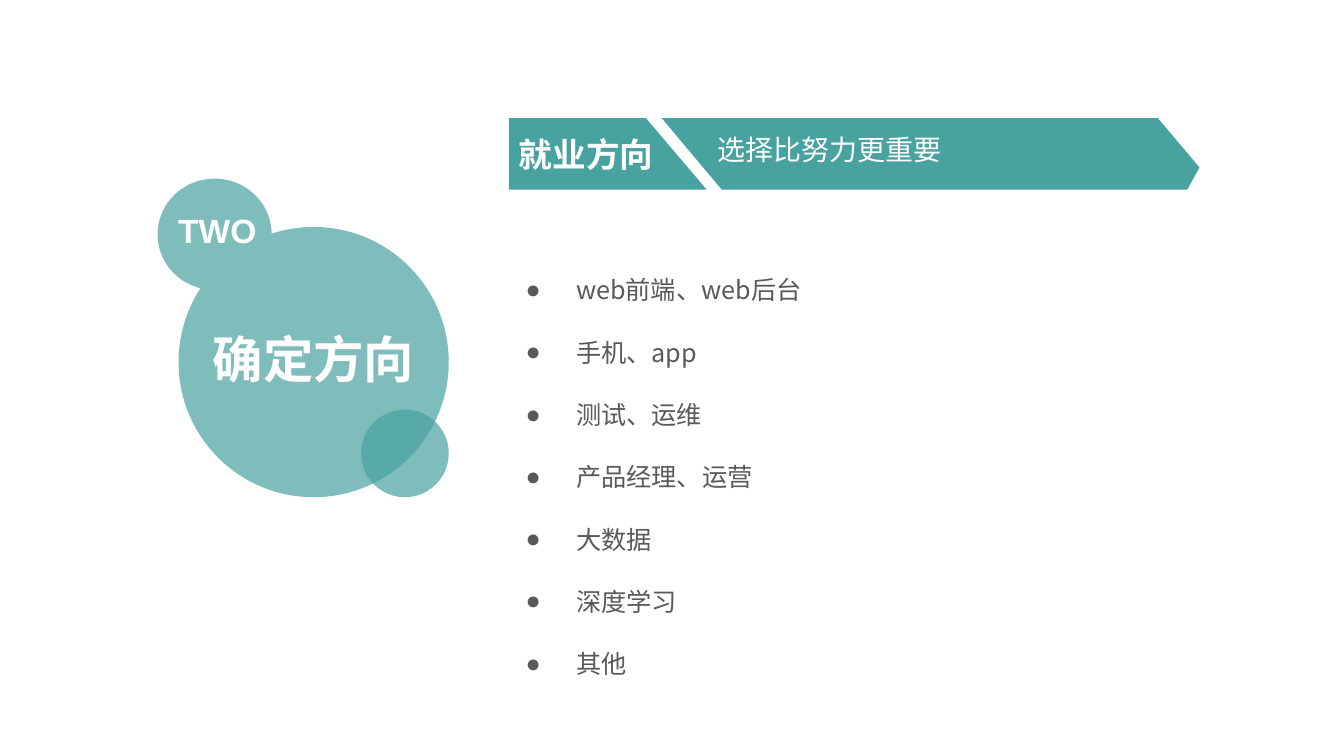
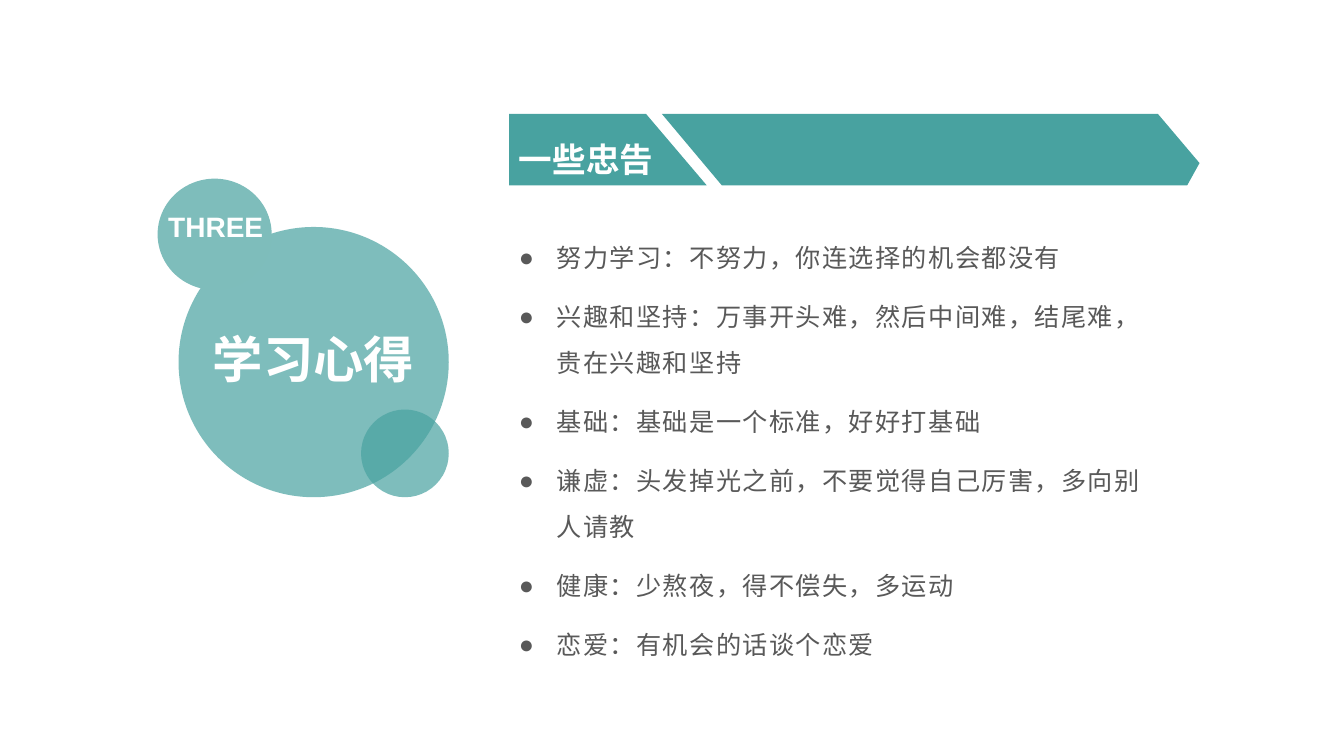
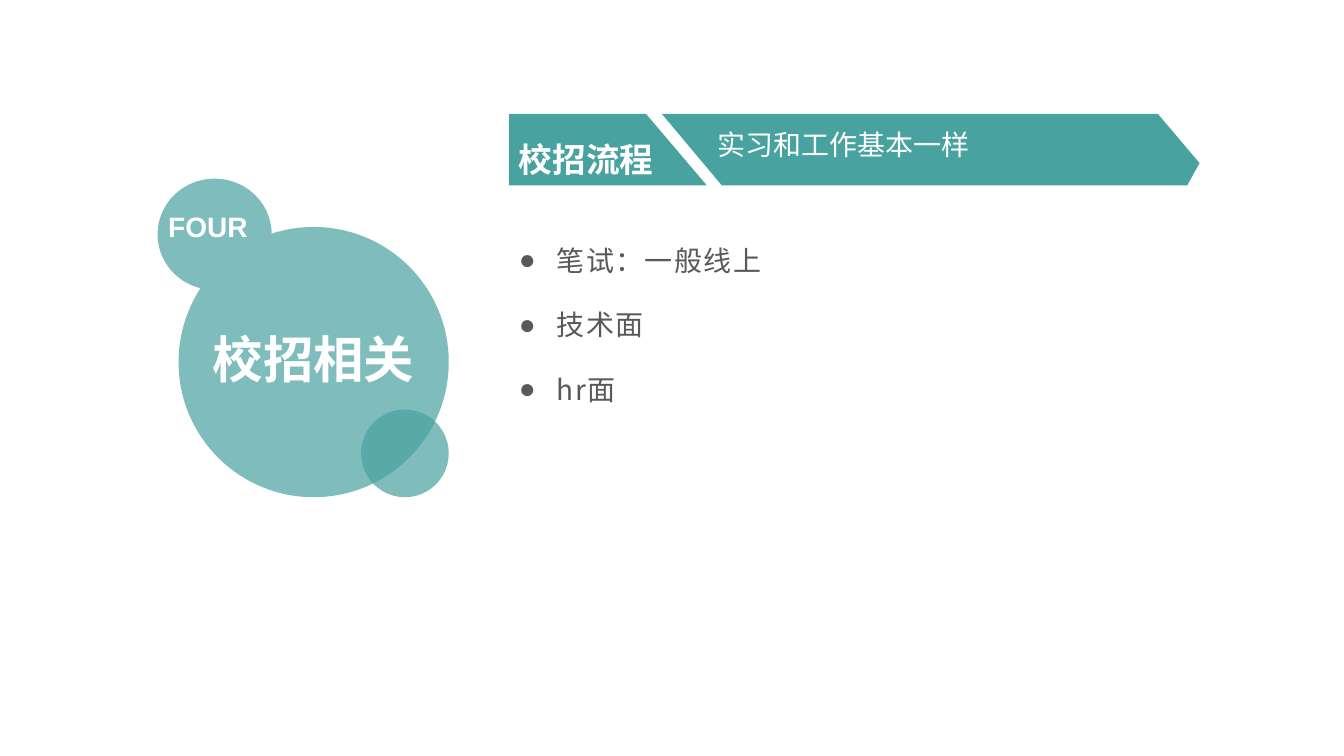
import dataclasses

import pptx
import pptx.dml.color
import pptx.enum.shapes
import pptx.enum.text
import pptx.oxml.ns
import pptx.util
from lxml import etree

Cm = pptx.util.Cm
Pt = pptx.util.Pt
RGB = pptx.dml.color.RGBColor
ALIGN = pptx.enum.text.PP_ALIGN
ANCHOR = pptx.enum.text.MSO_ANCHOR
OVAL = pptx.enum.shapes.MSO_SHAPE.OVAL
qn = pptx.oxml.ns.qn


@dataclasses.dataclass(frozen=True)
class Theme:
    teal: RGB = RGB(0x48, 0xA2, 0xA0)
    pale: RGB = RGB(0x7E, 0xBD, 0xBB)
    white: RGB = RGB(0xFF, 0xFF, 0xFF)
    grey: RGB = RGB(0x59, 0x59, 0x59)
    latin: str = "Arial"
    asian: str = "Noto Sans CJK SC"
    title: int = 36
    label: int = 24
    note: int = 20


theme = Theme()

pages = [
    dict(
        title="确定方向", badge="TWO", badge_size=24, badge_left=4.24,
        label="就业方向", drop=0, note="选择比努力更重要", band_top=2.98,
        list_box=(13, 6.34, 17.22, 11.39), size=18, line=34.5, gap=10,
        indent=1.27, track=0,
        items=["web前端、web后台", "手机、app", "测试、运维", "产品经理、运营",
               "大数据", "深度学习", "其他"],
    ),
    dict(
        title="学习心得", badge="THREE", badge_size=20, badge_left=3.99,
        label="一些忠告", drop=0.46, note="", band_top=2.87,
        list_box=(12.83, 5.59, 16.59, 12.95), size=18, line=33, gap=9,
        indent=0.95, track=100,
        items=["努力学习：不努力，你连选择的机会都没有",
               "兴趣和坚持：万事开头难，然后中间难，结尾难，贵在兴趣和坚持",
               "基础：基础是一个标准，好好打基础",
               "谦虚：头发掉光之前，不要觉得自己厉害，多向别人请教",
               "健康：少熬夜，得不偿失，多运动",
               "恋爱：有机会的话谈个恋爱"],
    ),
    dict(
        title="校招相关", badge="FOUR", badge_size=20, badge_left=3.99,
        label="校招流程", drop=0.46, note="实习和工作基本一样", band_top=2.87,
        list_box=(12.83, 5.59, 16.59, 12.95), size=20, line=36, gap=10,
        indent=0.95, track=100,
        items=["笔试：一般线上", "技术面", "hr面"],
    ),
]

# Outlines of the two band parts, measured from the top of the band
tag_points = [(12.83, 0), (16.28, 0), (17.81, 1.8), (12.83, 1.8)]
bar_points = [(16.68, 0), (29.18, 0), (30.23, 1.24), (29.92, 1.8), (18.19, 1.8)]


def paint(shape, color):
    shape.shadow.inherit = False
    shape.fill.solid()
    shape.fill.fore_color.rgb = color
    shape.line.fill.background()


def write(shape, lines, size, color=theme.white, bold=False, align=ALIGN.LEFT,
          latin=theme.latin):
    """Fill the shape with one paragraph per line, all in the same font."""
    frame = shape.text_frame
    frame.text = "\n".join(lines)
    frame.word_wrap = True
    frame.auto_size = pptx.enum.text.MSO_AUTO_SIZE.NONE
    for para in frame.paragraphs:
        para.alignment = align
        para.font.name = latin
        para.font.size = Pt(size)
        para.font.bold = bold
        para.font.color.rgb = color
    for props in shape.element.xpath(".//a:defRPr"):
        etree.SubElement(props, qn("a:ea"), typeface=theme.asian)
    return frame


prs = pptx.Presentation()
prs.slide_width, prs.slide_height = Cm(33.87), Cm(19.05)
layout = prs.slide_layouts[5]
slides = [prs.slides.add_slide(layout) for page in pages]

# Clear circles shared by all slides, kept on the layout
for num, (left, top, width) in enumerate([(4.5, 5.72, 6.81), (9.1, 10.32, 2.21)]):
    circle = slides[0].shapes.add_shape(OVAL, Cm(left), Cm(top), Cm(width), Cm(width))
    paint(circle, theme.teal)
    tint = circle.element.xpath(".//a:solidFill/a:srgbClr")[0]
    etree.SubElement(tint, qn("a:alpha"), val="70000")
    circle.element.xpath(".//p:cNvPr")[0].set("id", str(20 + num))
    layout.shapes.element.append(circle.element)

for slide, page in zip(slides, pages):
    shapes = slide.shapes

    title = shapes.title
    title.left, title.top, title.width, title.height = (
        Cm(4.42), Cm(7.54), Cm(6.96), Cm(2.97))
    frame = write(title, [page["title"]], theme.title, bold=True, align=ALIGN.CENTER)
    frame.vertical_anchor = ANCHOR.MIDDLE

    # Band: slanted tag with a label, then an arrow bar with a note
    for points, words, size, bold, margins in [
        (tag_points, page["label"], theme.label, True, (0.25, page["drop"], 0)),
        (bar_points, page["note"], theme.note, False, (1.4, 0, 0.25)),
    ]:
        spots = [(Cm(x), Cm(page["band_top"] + y)) for x, y in points]
        outline = shapes.build_freeform(*spots[0])
        outline.add_line_segments(spots[1:], close=True)
        part = outline.convert_to_shape()
        paint(part, theme.teal)
        if words:
            frame = write(part, [words], size, bold=bold)
            frame.vertical_anchor = ANCHOR.MIDDLE
            frame.margin_left, frame.margin_top, frame.margin_bottom = map(Cm, margins)

    badge = shapes.add_shape(OVAL, Cm(3.99), Cm(4.52), Cm(2.84), Cm(2.77))
    paint(badge, theme.pale)
    badge.line.color.rgb = theme.pale
    badge.line.width = Pt(1)
    number = shapes.add_textbox(Cm(page["badge_left"]), Cm(5.16), Cm(3.89), Cm(2.13))
    write(number, [page["badge"]], page["badge_size"], bold=True)

    points = shapes.add_textbox(*map(Cm, page["list_box"]))
    frame = write(points, page["items"], page["size"], theme.grey, latin=theme.asian)
    for para in frame.paragraphs:
        para.line_spacing = Pt(page["line"])
        para.space_before = Pt(0)
        para.space_after = Pt(page["gap"])
    for props in points.element.xpath(".//a:pPr"):
        props.set("marL", str(Cm(page["indent"])))
        props.set("indent", str(-Cm(page["indent"])))
        font = props.find(qn("a:defRPr"))
        font.set("spc", str(page["track"]))
        font.addprevious(etree.Element(qn("a:buFont"), typeface=theme.latin))
        font.addprevious(etree.Element(qn("a:buChar"), char="●"))

prs.save("out.pptx")
